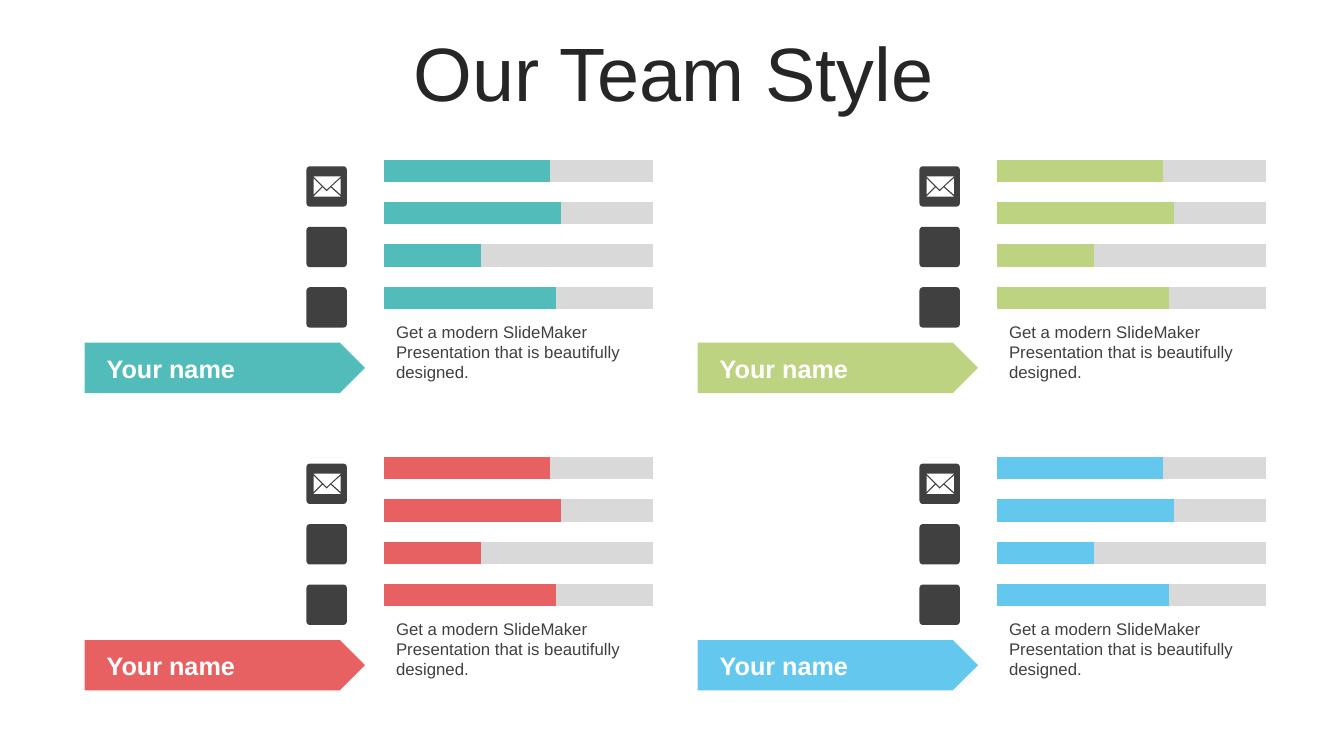
from itertools import product

from pptx import Presentation
from pptx.chart.data import CategoryChartData
from pptx.dml.color import RGBColor
from pptx.enum.chart import XL_CHART_TYPE
from pptx.enum.shapes import MSO_SHAPE
from pptx.enum.text import MSO_ANCHOR, MSO_AUTO_SIZE, PP_ALIGN
from pptx.util import Inches, Pt

DARK, GREY, WHITE = "404040", "D9D9D9", "FFFFFF"
COLORS = ("51BCB9", "E86162", "BED381", "63C7EE")  # down each column
COL_STEP, ROW_STEP = 6.08, 2.95
ICON_SIZE, ICON_GAP = 0.4, 0.6
SKILLS = (64, 36, 66, 62)
BLURB = "Get a modern SlideMaker Presentation that is beautifully designed."
# Envelope pieces in hundredths of an inch from the icon's corner
ENVELOPE = (
    ((7, 10), (20, 23), (34, 10)),
    ((7, 12), (7, 28), (15, 20)),
    ((34, 12), (25, 20), (34, 28)),
    ((24, 21), (20, 25), (16, 21), (7, 30), (34, 30)),
)


def rgb(color):
    return RGBColor.from_string(color)


class TeamSlide:
    """Holds the current slide and the style of its elements."""

    font = "Arial"

    def __init__(self, prs):
        self.slide = prs.slides.add_slide(prs.slide_layouts[5])
        self.shapes = self.slide.shapes

    def fill_text(self, tf, text, size, color, frame, bold=False, align=PP_ALIGN.LEFT):
        """Put one formatted paragraph into a text frame."""
        for name, value in {"word_wrap": True, **frame}.items():
            setattr(tf, name, value)
        p = tf.paragraphs[0]
        p.alignment = align
        r = p.add_run()
        r.text = text
        for name, value in {"name": self.font, "size": Pt(size), "bold": bold}.items():
            setattr(r.font, name, value)
        r.font.color.rgb = rgb(color)
        return p

    def title(self, text, x, y, w, h):
        sp = self.shapes.title
        box = {"left": x, "top": y, "width": w, "height": h}
        for name, value in box.items():
            setattr(sp, name, Inches(value))
        frame = {"vertical_anchor": MSO_ANCHOR.MIDDLE, "auto_size": MSO_AUTO_SIZE.NONE}
        p = self.fill_text(sp.text_frame, text, 54, "262626", frame,
                           align=PP_ALIGN.CENTER)
        p.line_spacing = 0.9

    def text(self, text, x, y, w, h, size, color, frame, bold=False):
        sp = self.shapes.add_textbox(Inches(x), Inches(y), Inches(w), Inches(h))
        self.fill_text(sp.text_frame, text, size, color, frame, bold)

    def paint(self, sp, color):
        sp.shadow.inherit = False
        sp.fill.solid()
        sp.fill.fore_color.rgb = rgb(color)
        sp.line.fill.background()

    def shape(self, kind, x, y, w, h, color):
        sp = self.shapes.add_shape(kind, Inches(x), Inches(y), Inches(w), Inches(h))
        self.paint(sp, color)
        return sp

    def icon_tile(self, x, y):
        sp = self.shape(MSO_SHAPE.ROUNDED_RECTANGLE, x, y, ICON_SIZE, ICON_SIZE, DARK)
        sp.adjustments[0] = 0.08

    def envelope(self, x, y):
        first, *others = ENVELOPE
        fb = self.shapes.build_freeform(*first[0], scale=Inches(0.01))
        fb.add_line_segments(first[1:])
        for piece in others:
            fb.move_to(*piece[0])
            fb.add_line_segments(piece[1:])
        self.paint(fb.convert_to_shape(Inches(x), Inches(y)), WHITE)

    def skill_chart(self, x, y, w, h, color):
        data = CategoryChartData()
        data.categories = [str(n + 1) for n in range(len(SKILLS))]
        data.add_series("Series 1", SKILLS)
        data.add_series("Series 2", [100 - skill for skill in SKILLS])
        chart = self.shapes.add_chart(
            XL_CHART_TYPE.BAR_STACKED_100,
            Inches(x), Inches(y), Inches(w), Inches(h), data,
        ).chart
        chart.has_legend = chart.has_title = False
        for name, value in {"name": self.font, "size": Pt(10)}.items():
            setattr(chart.font, name, value)
        chart.font.color.rgb = rgb("000000")
        for axis in (chart.category_axis, chart.value_axis):
            axis.has_major_gridlines = False
            axis.visible = False
        plot = chart.plots[0]
        for name, value in {"gap_width": 90, "overlap": 100,
                            "vary_by_categories": False}.items():
            setattr(plot, name, value)
        for series, fill in zip(plot.series, (color, GREY)):
            series.format.fill.solid()
            series.format.fill.fore_color.rgb = rgb(fill)

    def member(self, dx, dy, color):
        """Draw one team member's block, shifted by dx and dy."""
        self.shape(MSO_SHAPE.PENTAGON, 0.84 + dx, 3.4 + dy, 2.78, 0.5, color)
        icon_x, icon_y = 3.04 + dx, 1.65 + dy
        for n in range(3):
            self.icon_tile(icon_x, icon_y + n * ICON_GAP)
        self.envelope(icon_x, icon_y)
        self.text("Your name", 0.96 + dx, 3.53 + dy, 2.4, 0.25, 18, WHITE,
                  {"vertical_anchor": MSO_ANCHOR.MIDDLE}, bold=True)
        self.text(BLURB, 3.83 + dx, 3.14 + dy, 2.57, 0.71, 12, DARK,
                  {"auto_size": MSO_AUTO_SIZE.SHAPE_TO_FIT_TEXT})
        self.skill_chart(3.75 + dx, 1.45 + dy, 2.78, 1.75, color)


def main():
    prs = Presentation()
    prs.slide_width, prs.slide_height = Inches(13.33), Inches(7.5)
    s = TeamSlide(prs)
    s.title("Our Team Style", 0.35, 0.37, 12.66, 0.79)
    for (col, row), color in zip(product(range(2), repeat=2), COLORS):
        s.member(col * COL_STEP, row * ROW_STEP, color)
    prs.save("out.pptx")


if __name__ == "__main__":
    main()
